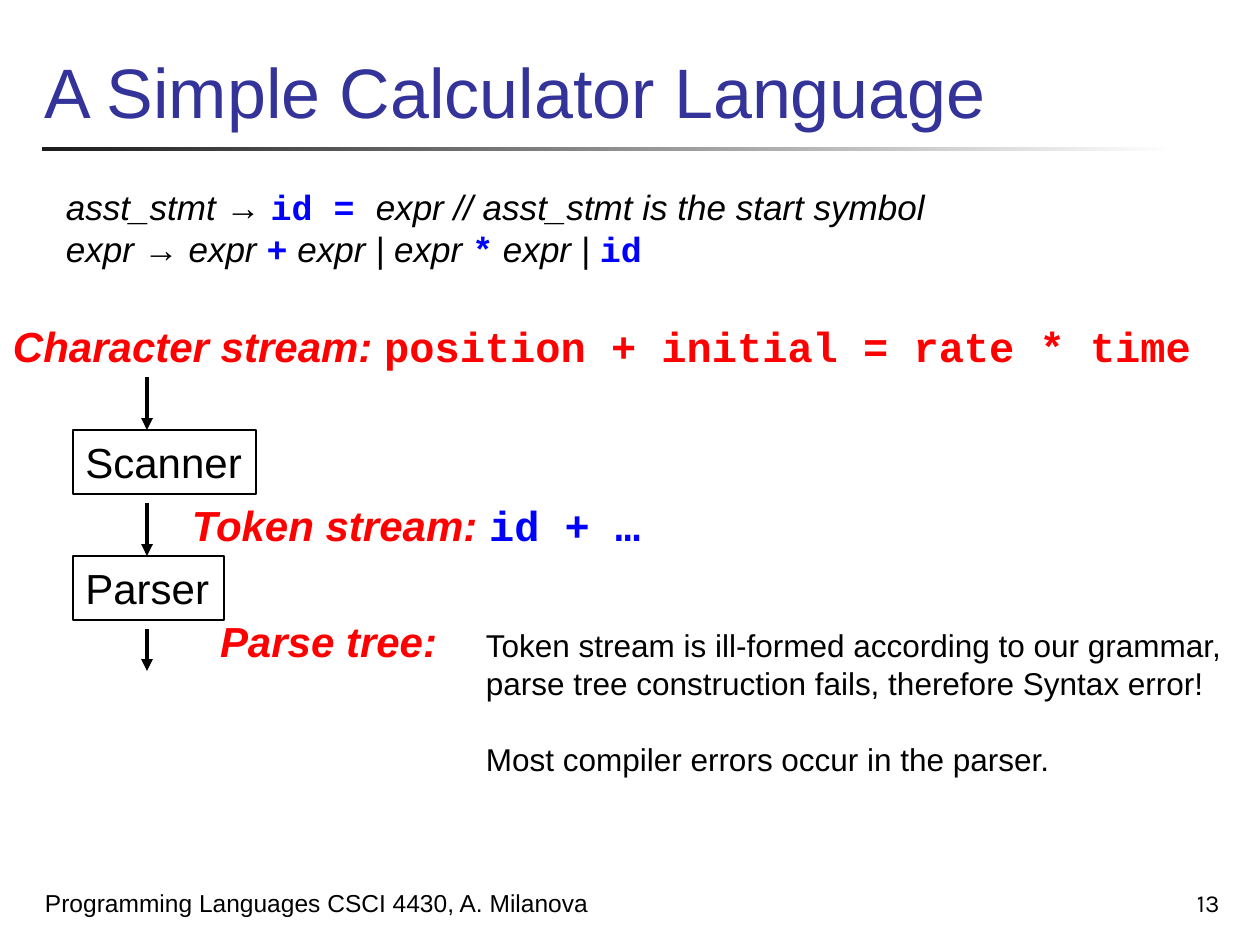
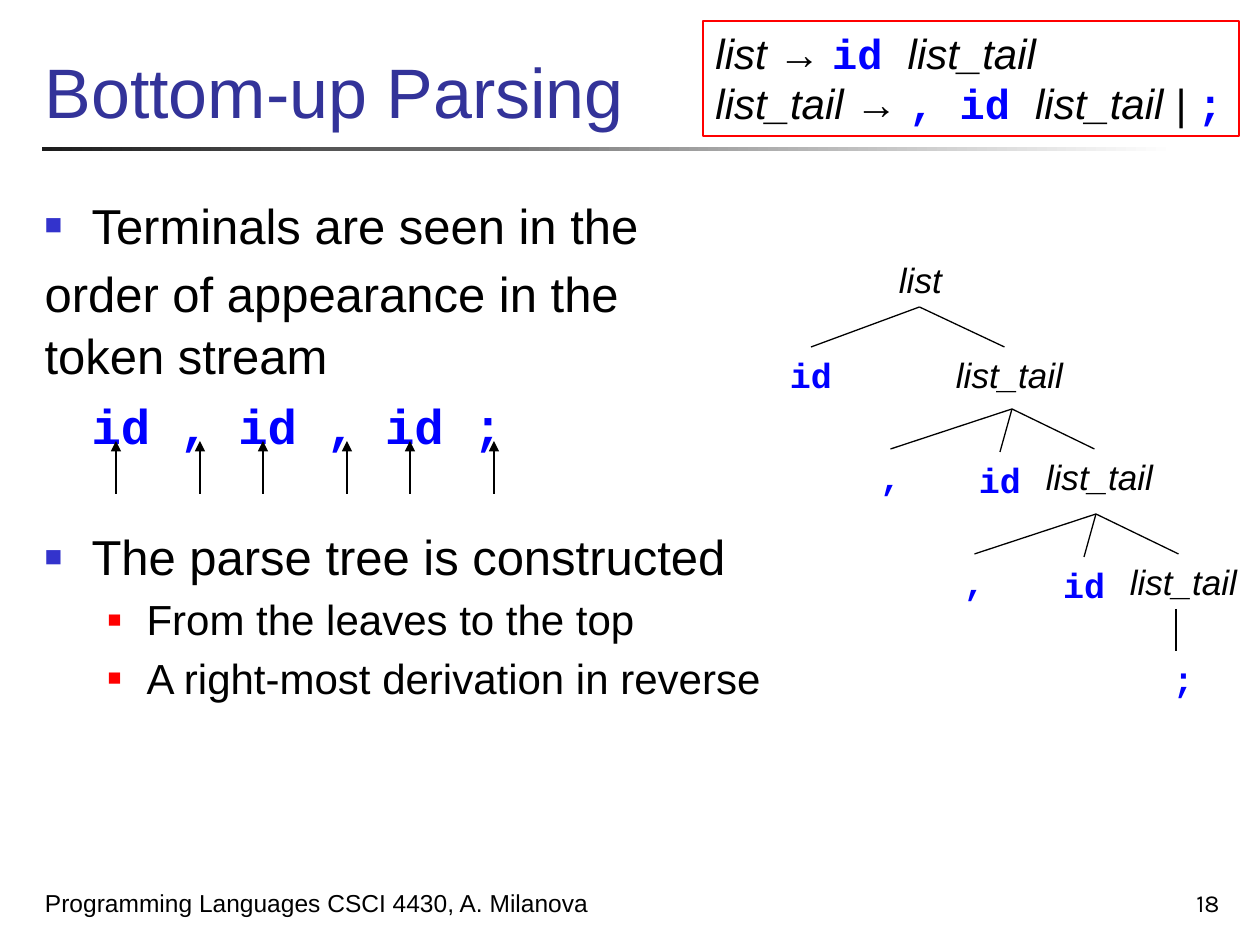
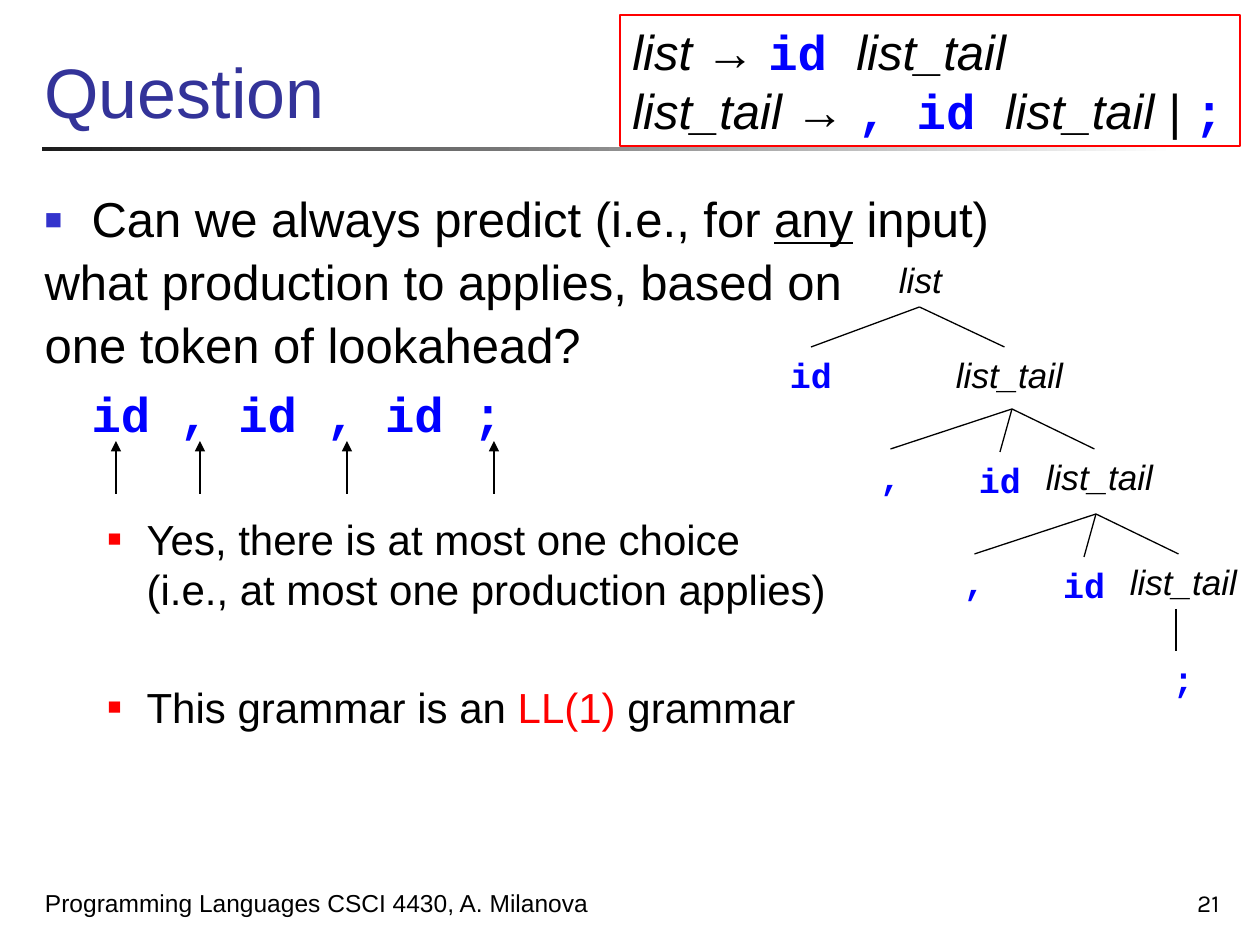
from dataclasses import dataclass

from lxml.etree import SubElement
from pptx import Presentation
from pptx.dml.color import RGBColor
from pptx.enum.shapes import MSO_CONNECTOR as Connector, MSO_SHAPE as Shape
from pptx.enum.text import MSO_ANCHOR as Anchor, MSO_AUTO_SIZE as AutoSize, PP_ALIGN as Align
from pptx.oxml.ns import qn
from pptx.util import Pt

PX_PER_INCH = 126
EMU_PER_INCH = 914400


@dataclass(frozen=True)
class Theme:
    sans: str = "Arial"
    mono: str = "Courier New"
    number_font: str = "Karla"
    ink: str = "000000"
    heading: str = "333399"
    bullet: str = "3333CC"
    red: str = "FF0000"
    token: str = "0000FF"
    rule_start: str = "1C1C1C"
    rule_end: str = "FFFFFF"
    title: int = 40
    body: int = 28
    label: int = 24
    tree: int = 20
    note: int = 18
    footer: int = 14
    tight: float = 0.9
    loose: float = 1.2  # natural line height, as a share of the type size


THEME = Theme()
INSET = 13
TITLE_BOX = (32, 0, 1200, 139)
RULE_BOX = (42, 147, 1134, 4)
BODY_BOX = (32, 189, 1202, 724)
FOOTER_BOX = (32, 861, 651, 63)
NUMBER_BOX = (970, 861, 262, 63)
TREE_BOX = (777, 252, 483, 455)
ARROWS_BOX = (116, 441, 378, 53)
PIPELINE_BOX = (0, 314, 1242, 471)
FOOTER = "Programming Languages CSCI 4430, A. Milanova"
TOKENS = "id , id , id ;"


def px(length):
    return round(length * EMU_PER_INCH / PX_PER_INCH)


def place(shape, box):
    shape.left, shape.top, shape.width, shape.height = map(px, box)


def rgb(color):
    return RGBColor.from_string(color)


def symbol(text, **form):
    """A nonterminal of a grammar."""
    return text, {"italic": True, **form}


def token(text, **form):
    """A terminal of a grammar."""
    return text, {"font": THEME.mono, "color": THEME.token, "bold": True, **form}


def write(para, spans, **base):
    """Write spans, each a string or (text, format), over a base format."""
    for item in [spans] if isinstance(spans, (str, tuple)) else spans:
        text, own = (item, {}) if isinstance(item, str) else item
        form = {"font": THEME.sans, "size": THEME.label, "color": THEME.ink, **base, **own}
        for index, line in enumerate(text.split("\n")):
            if index:
                para.add_line_break()
            span = para.add_run()
            span.text = line
            font = span.font
            font.name, font.size = form["font"], Pt(form["size"])
            font.color.rgb = rgb(form["color"])
            font.bold = form.get("bold", False)
            font.italic = form.get("italic", False)
            font.underline = form.get("underline", False)


def write_lines(frame, lines, align=Align.LEFT, **form):
    for index, spans in enumerate(lines):
        para = frame.add_paragraph() if index else frame.paragraphs[0]
        para.alignment = align
        write(para, spans, **form)


def add_label(page, box, lines, wrap=False, anchor=Anchor.TOP, left_inset=INSET, **form):
    label = page.shapes.add_textbox(0, 0, 0, 0)
    place(label, box)
    frame = label.text_frame
    frame.word_wrap, frame.vertical_anchor = wrap, anchor
    frame.auto_size = AutoSize.NONE if wrap else AutoSize.SHAPE_TO_FIT_TEXT
    frame.margin_left = px(left_inset)
    write_lines(frame, lines, **form)
    return label


def add_frame(page, box, lines, line_color, wrap=False, **form):
    """An outlined rectangle with text."""
    shape = page.shapes.add_shape(Shape.RECTANGLE, 0, 0, 0, 0)
    place(shape, box)
    shape.shadow.inherit = False
    shape.fill.background()
    shape.line.color.rgb = rgb(line_color)
    shape.line.width = Pt(0.75)
    frame = shape.text_frame
    frame.word_wrap, frame.vertical_anchor = wrap, Anchor.TOP
    frame.auto_size = AutoSize.SHAPE_TO_FIT_TEXT
    write_lines(frame, lines, **form)


def add_line(page, start, end, width=0.75, arrow=False):
    line = page.shapes.add_connector(Connector.STRAIGHT, *map(px, (*start, *end)))
    line.line.color.rgb = rgb(THEME.ink)
    line.line.width = Pt(width)
    if arrow:
        SubElement(line.line._get_or_add_ln(), qn("a:tailEnd"), type="triangle")
    SubElement(line._element.spPr, qn("a:effectLst"))
    return line


def add_page(deck, title, number, layout):
    page = deck.slides.add_slide(deck.slide_layouts[layout])
    rule = page.shapes.add_shape(Shape.RECTANGLE, 0, 0, 0, 0)
    place(rule, RULE_BOX)
    rule.shadow.inherit = False
    rule.line.fill.background()
    rule.fill.gradient()
    rule.fill.gradient_angle = 0
    for stop, color in zip(rule.fill.gradient_stops, (THEME.rule_start, THEME.rule_end)):
        stop.color.rgb = rgb(color)

    heading = page.shapes.title
    place(heading, TITLE_BOX)
    heading.text_frame.vertical_anchor = Anchor.BOTTOM
    heading.text_frame.auto_size = AutoSize.NONE
    write_lines(heading.text_frame, [title], size=THEME.title, color=THEME.heading)

    foot = {"wrap": True, "anchor": Anchor.BOTTOM, "size": THEME.footer}
    add_label(page, FOOTER_BOX, [FOOTER], **foot)
    add_label(page, NUMBER_BOX, [str(number)], align=Align.RIGHT,
              font=THEME.number_font, **foot)
    return page


def blank_height(size, spacing=1.0):
    """Points taken by one skipped line."""
    return size * (THEME.loose * spacing + 0.2)


def add_item(frame, spans, level=0, bullet=True, indent=0, gap=0, spacing=1.0, first=False):
    para = frame.paragraphs[0] if first else frame.add_paragraph()
    size, color, share, margin, hang = (
        (THEME.label, THEME.red, 55, 102, 39) if level
        else (THEME.body, THEME.bullet, 60, 47, 47))
    para.level, para.alignment, para.line_spacing = level, Align.LEFT, spacing
    para.space_before = Pt(0 if first else size * 0.2 + gap)
    para.space_after = Pt(0)
    props = para._p.get_or_add_pPr()
    props.set("marL", str(px(margin if bullet else indent)))
    props.set("indent", str(-px(hang) if bullet else 0))
    if bullet:
        SubElement(SubElement(props, qn("a:buClr")), qn("a:srgbClr"), val=color)
        SubElement(props, qn("a:buSzPct"), val=str(share * 1000))
        SubElement(props, qn("a:buFont"), typeface=THEME.sans)
        SubElement(props, qn("a:buChar"), char="■")
    else:
        SubElement(props, qn("a:buNone"))
    write(para, spans, size=size)


def fill_body(page, items):
    body = page.placeholders[1]
    place(body, BODY_BOX)
    frame = body.text_frame
    frame.auto_size, frame.vertical_anchor = AutoSize.NONE, Anchor.TOP
    for index, (spans, form) in enumerate(items):
        add_item(frame, spans, first=index == 0, **form)


def add_grammar(page, box, size):
    add_frame(page, box, [
        [symbol("list → "), token("id "), symbol("list_tail")],
        [symbol("list_tail → "), token(", id "), symbol("list_tail | "), token(";")],
    ], THEME.red, wrap=True, size=size)


def add_parse_tree(page, box):
    left, top = box[:2]

    def at(x, y):
        return left + x, top + y

    def node(x, y, width, spans, pad=0):
        return add_label(page, (*at(x, y), width, 55), [spans],
                         left_inset=INSET + pad, size=THEME.tree)

    def tail(x, y):
        return node(x, y, 161, symbol("list_tail"), pad=19)

    def branch(apex, children):
        for child in children:
            add_line(page, apex, apex).end_connect(child, 0)

    root = node(99, 0, 87, symbol("list"), pad=10)
    for child in (node(0, 95, 68, token("id")), tail(147, 95)):
        edge = add_line(page, at(142, 55), at(142, 95))
        edge.begin_connect(root, 2)
        edge.end_connect(child, 0)
    for step in range(2):
        x, y = 84 * step, 105 * step
        branch(at(235 + x, 157 + y), (
            node(90 + x, 197 + y, 47, token(",")),
            node(189 + x, 200 + y, 68, token("id")),
            tail(237 + x, 197 + y)))
    node(383, 399, 47, token(";"))
    add_line(page, at(399, 357), at(399, 399))


def add_token_arrows(page, box, id_count):
    """Point at the first ids and at every separator of the token line."""
    left, top, _, height = box
    pitch, separator = 147, 84
    stops = [pitch * i for i in range(id_count)] + [separator + pitch * i for i in range(3)]
    for x in sorted(stops):
        add_line(page, (left + x, top + height), (left + x, top), 1.25, arrow=True)


def add_pipeline(page, box):
    left, top = box[:2]
    stage = {"bold": True, "italic": True, "color": THEME.red}
    for x, y, width, spans in (
        (0, 0, 1242, [("Character stream: ", stage),
                      token("position + initial = rate * time", color=THEME.red)]),
        (179, 179, 481, [("Token stream: ", stage), token("id + …")]),
        (207, 295, 256, [("Parse tree:", stage)]),
    ):
        add_label(page, (left + x, top + y, width, 64), [spans])
    for y, width, name in ((116, 183, "Scanner"), (242, 151, "Parser")):
        add_frame(page, (left + 73, top + y, width, 64), [name], THEME.ink)
    for y, length in ((63, 53), (189, 53), (315, 42)):
        add_line(page, (left + 147, top + y), (left + 147, top + y + length), 2.25, arrow=True)
    note = add_label(page, (left + 473, top + 306, 767, 165), [
        "Token stream is ill-formed according to our grammar,",
        "parse tree construction fails, therefore Syntax error!",
        "Most compiler errors occur in the parser.",
    ], size=THEME.note)
    note.text_frame.paragraphs[-1].space_before = Pt(THEME.note * THEME.loose)


def calculator_page(deck):
    page = add_page(deck, "A Simple Calculator Language", 13, layout=5)
    add_label(page, (53, 179, 945, 97), [
        [symbol("asst_stmt → "), token("id = "),
         symbol("expr // asst_stmt is the start symbol")],
        [symbol("expr → expr "), token("+"), symbol(" expr | expr "), token("*"),
         symbol(" expr | "), token("id")],
    ], wrap=True, size=THEME.tree)
    add_pipeline(page, PIPELINE_BOX)


def parsing_page(deck, title, number, grammar_box, grammar_size, items, id_count):
    page = add_page(deck, title, number, layout=1)
    fill_body(page, items)
    add_grammar(page, grammar_box, grammar_size)
    add_token_arrows(page, ARROWS_BOX, id_count)
    add_parse_tree(page, TREE_BOX)


def main():
    deck = Presentation()
    deck.slide_width, deck.slide_height = px(1260), px(945)
    plain = {"bullet": False}
    tight = {"spacing": THEME.tight}
    skip = {"gap": blank_height(THEME.body, THEME.tight)}
    sub = {"level": 1}
    token_line = (token(TOKENS), {**plain, "indent": 47})

    calculator_page(deck)
    parsing_page(deck, "Bottom-up Parsing", 18, (703, 21, 536, 115), THEME.label, [
        ("Terminals are seen in the", {}),
        ("order of appearance in the", plain),
        ("token stream", {**plain, **tight}),
        token_line,
        ("The parse tree is constructed", skip),
        ("From the leaves to the top", sub),
        ("A right-most derivation in reverse", sub),
    ], id_count=3)
    parsing_page(deck, "Question", 21, (620, 15, 620, 131), THEME.body, [
        (["Can we always predict (i.e., for ", ("any", {"underline": True}), " input)"], tight),
        ("what production to applies, based on", {**plain, **tight}),
        ("one token of lookahead?", {**plain, **tight}),
        token_line,
        ("Yes, there is at most one choice \n(i.e., at most one production applies)",
         {**sub, **skip}),
        (["This grammar is an ", ("LL(1)", {"color": THEME.red}), " grammar"],
         {**sub, "gap": blank_height(THEME.label)}),
    ], id_count=1)
    deck.save("out.pptx")


if __name__ == "__main__":
    main()
